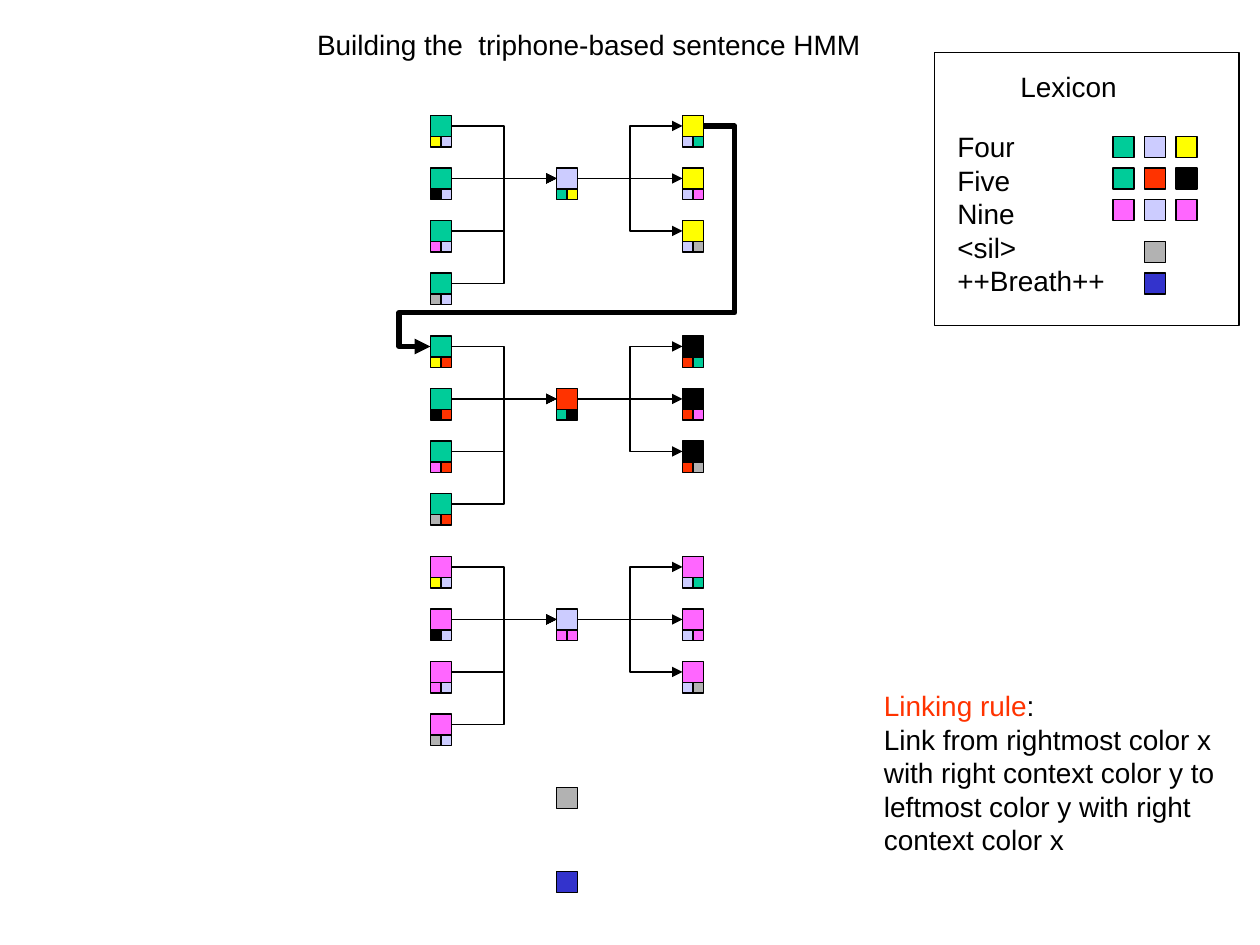
from lxml import etree
from pptx import Presentation
from pptx.dml.color import RGBColor
from pptx.enum.shapes import MSO_CONNECTOR, MSO_SHAPE
from pptx.enum.text import MSO_ANCHOR, MSO_AUTO_SIZE, PP_ALIGN
from pptx.oxml.ns import qn
from pptx.util import Emu, Pt

RECTANGLE = MSO_SHAPE.RECTANGLE
ELBOW, STRAIGHT = MSO_CONNECTOR.ELBOW, MSO_CONNECTOR.STRAIGHT
TOP, LEFT, NO_AUTOFIT = MSO_ANCHOR.TOP, PP_ALIGN.LEFT, MSO_AUTO_SIZE.NONE
LEFT_SITE, RIGHT_SITE = 1, 3

EMU_PER_PX = 9525
COLORS = {
    "green": "00CC99", "lavender": "CCCCFF", "yellow": "FFFF00",
    "red": "FF3300", "black": "000000", "pink": "FF66FF",
    "gray": "B2B2B2", "blue": "3333CC",
}
WORDS = [
    ("green", "lavender", "yellow"),
    ("green", "red", "black"),
    ("pink", "lavender", "pink"),
]
SILENCE, BREATH = "gray", "blue"
LEFT_CONTEXTS = ["yellow", "black", "pink", SILENCE]
RIGHT_CONTEXTS = ["green", "pink", SILENCE]

PHONE, CONTEXT = 16, 8
STATE_STEP, COLUMN_STEP, WORD_STEP = 40, 96, 168
LEXICON_STEP = 24


def px(value):
    return Emu(value * EMU_PER_PX)


def rgb(name):
    return RGBColor.from_string(COLORS[name])


def add_box(slide, left, top, width, height, color=None):
    """Black-outlined rectangle, unfilled when no colour is given."""
    box = slide.shapes.add_shape(RECTANGLE, px(left), px(top), px(width), px(height))
    box.shadow.inherit = False
    box.line.color.rgb = rgb("black")
    box.line.width = Pt(0.75)
    if color:
        box.fill.solid()
        box.fill.fore_color.rgb = rgb(color)
    else:
        box.fill.background()
    return box


def add_phone(slide, left, top, color):
    return add_box(slide, left, top, PHONE, PHONE, color)


def add_triphone(slide, left, top, color, contexts):
    """Phone square with its left and right context squares underneath."""
    phone = add_phone(slide, left, top, color)
    for index, context in enumerate(contexts):
        add_box(slide, left + index * CONTEXT, top + PHONE, CONTEXT, CONTEXT, context)
    return phone


def add_arrow(slide, source, target, width=0.75):
    kind = STRAIGHT if source.top == target.top else ELBOW
    arrow = slide.shapes.add_connector(kind, 0, 0, 0, 0)
    arrow.begin_connect(source, RIGHT_SITE)
    arrow.end_connect(target, LEFT_SITE)
    arrow.line.color.rgb = rgb("black")
    arrow.line.width = Pt(width)
    etree.SubElement(arrow.line._get_or_add_ln(), qn("a:tailEnd"), type="triangle")
    etree.SubElement(arrow._element.spPr, qn("a:effectLst"))
    return arrow


def add_return_arrow(slide, source, target):
    """Thick five-part elbow leading back from a word's end to the next word."""
    arrow = add_arrow(slide, source, target, width=3)
    geometry = arrow._element.spPr.find(qn("a:prstGeom"))
    geometry.set("prst", "bentConnector5")
    guides = geometry.find(qn("a:avLst"))
    if guides is None:
        guides = etree.SubElement(geometry, qn("a:avLst"))
    for number, value in enumerate((-11500, 84700, 111500), start=1):
        etree.SubElement(guides, qn("a:gd"), name=f"adj{number}", fmla=f"val {value}")


def format_text(shape, lines):
    frame = shape.text_frame
    frame.text = "\n".join(lines)
    frame.word_wrap = True
    frame.auto_size = NO_AUTOFIT
    frame.vertical_anchor = TOP
    for paragraph in frame.paragraphs:
        paragraph.alignment = LEFT
        for run in paragraph.runs:
            format_run(run)


def format_run(run, color="black"):
    run.font.name = "Arial"
    run.font.size = Pt(16)
    run.font.color.rgb = rgb(color)


def add_text(slide, left, top, width, height, lines):
    text_box = slide.shapes.add_textbox(px(left), px(top), px(width), px(height))
    format_text(text_box, lines)
    return text_box


def set_title(slide, left, top, width, height):
    title = slide.shapes.title
    title.left, title.top = px(left), px(top)
    title.width, title.height = px(width), px(height)
    format_text(title, ["Building the  triphone-based sentence HMM"])


def add_lexicon(slide, left, top, width, height):
    add_box(slide, left, top, width, height)
    add_text(slide, left + 56, top + 8, 96, 36, ["Lexicon"])
    add_text(slide, left + 8, top + 54, width + 8, 138,
             ["Four", "Five", "Nine", "<sil>", "++Breath++"])
    phones_left, phones_top = left + 136, top + 64
    for row, word in enumerate(WORDS):
        for column, color in enumerate(word):
            add_phone(slide, phones_left + column * LEXICON_STEP,
                      phones_top + row * LEXICON_STEP, color)
    for row, color in enumerate((SILENCE, BREATH)):
        add_phone(slide, phones_left + LEXICON_STEP,
                  phones_top + 80 + row * LEXICON_STEP, color)


def add_word_model(slide, left, top, word):
    """Draw one word's triphones; return its top entry and exit phones."""
    first, middle, last = word
    entries = [
        add_triphone(slide, left, top + row * STATE_STEP, first, (context, middle))
        for row, context in enumerate(LEFT_CONTEXTS)
    ]
    exits = [
        add_triphone(slide, left + 2 * COLUMN_STEP, top + row * STATE_STEP,
                     last, (middle, context))
        for row, context in enumerate(RIGHT_CONTEXTS)
    ]
    center = add_triphone(slide, left + COLUMN_STEP, top + STATE_STEP,
                          middle, (first, last))
    for entry in entries:
        add_arrow(slide, entry, center)
    for exit_phone in exits:
        add_arrow(slide, center, exit_phone)
    return entries[0], exits[0]


def add_sentence_model(slide, left, top):
    ends = [add_word_model(slide, left, top + index * WORD_STEP, word)
            for index, word in enumerate(WORDS)]
    for offset, color in ((512, SILENCE), (576, BREATH)):
        add_phone(slide, left + COLUMN_STEP, top + offset, color)
    add_return_arrow(slide, ends[0][1], ends[1][0])


def add_linking_rule(slide, left, top, width, height):
    text_box = add_text(slide, left, top, width, height, [
        "Linking rule",
        "Link from rightmost color x with right context color y to "
        "leftmost color y with right context color x",
    ])
    heading = text_box.text_frame.paragraphs[0]
    format_run(heading.runs[0], "red")
    colon = heading.add_run()
    colon.text = ":"
    format_run(colon)


def main():
    presentation = Presentation()
    presentation.slide_width, presentation.slide_height = px(960), px(720)
    slide = presentation.slides.add_slide(presentation.slide_layouts[5])
    set_title(slide, 232, 16, 488, 36)
    add_lexicon(slide, 712, 40, 232, 208)
    add_sentence_model(slide, 328, 88)
    add_linking_rule(slide, 664, 520, 272, 138)
    presentation.save("out.pptx")


if __name__ == "__main__":
    main()
